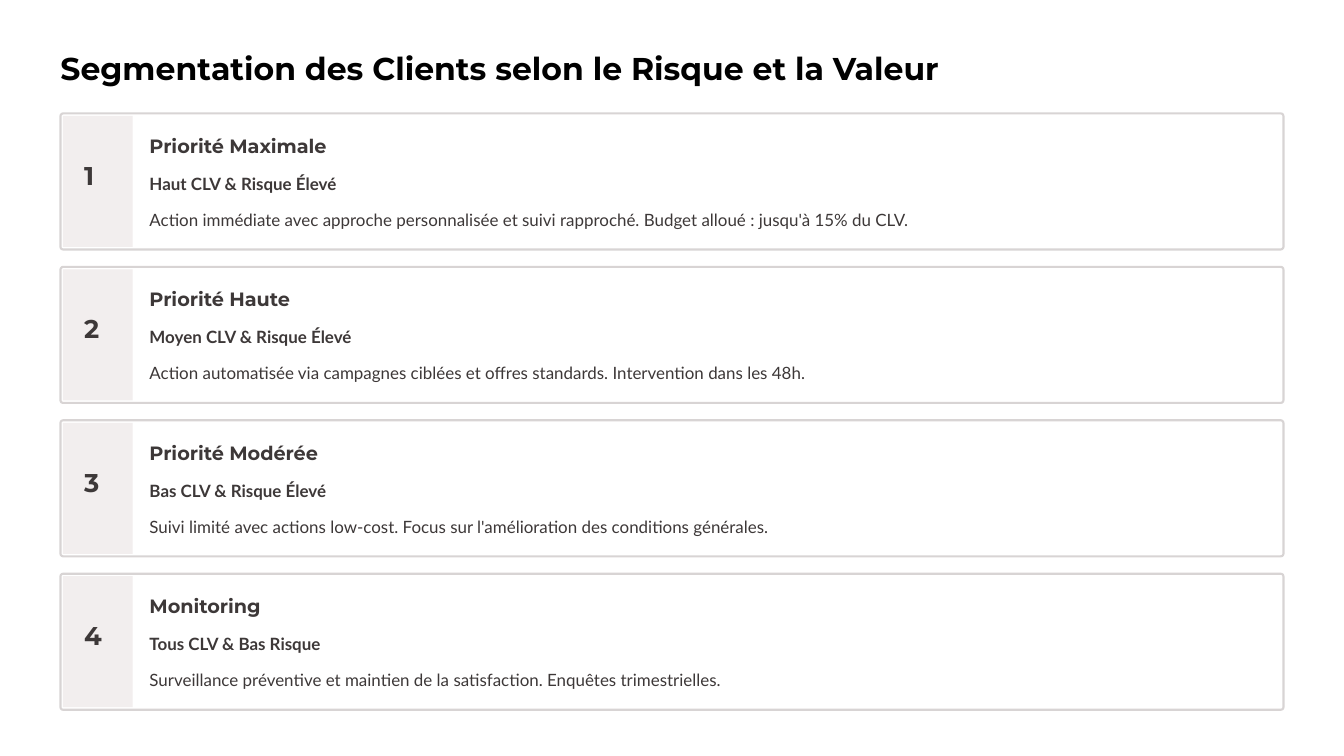
from pptx import Presentation
from pptx.dml.color import RGBColor
from pptx.enum.shapes import MSO_SHAPE as Kind
from pptx.util import Inches, Pt

TITLE = "Segmentation des Clients selon le Risque et la Valeur"
CARDS = [
    ("Priorité Maximale", "Haut CLV & Risque Élevé",
     "Action immédiate avec approche personnalisée et suivi rapproché. Budget alloué : jusqu'à 15% du CLV."),
    ("Priorité Haute", "Moyen CLV & Risque Élevé",
     "Action automatisée via campagnes ciblées et offres standards. Intervention dans les 48h."),
    ("Priorité Modérée", "Bas CLV & Risque Élevé",
     "Suivi limité avec actions low-cost. Focus sur l'amélioration des conditions générales."),
    ("Monitoring", "Tous CLV & Bas Risque",
     "Surveillance préventive et maintien de la satisfaction. Enquêtes trimestrielles."),
]

BLACK = RGBColor(0x00, 0x00, 0x00)
WHITE = RGBColor(0xFF, 0xFF, 0xFF)
INK = RGBColor(0x3D, 0x38, 0x38)
EDGE = RGBColor(0xD8, 0xD4, 0xD4)
BAND = RGBColor(0xF2, 0xEE, 0xEE)

HEAD = dict(name="Montserrat", size=Pt(27), bold=True)
RANK = dict(name="Montserrat", size=Pt(22), bold=True)
NAME = dict(name="Montserrat", size=Pt(16.5), bold=True)
GROUP = dict(name="Lato", size=Pt(14.5), bold=True)
PLAN = dict(name="Lato", size=Pt(14.5), bold=False)

WIDE, HIGH = 16, 9
EDGE_X, TOP, LAST = 0.72, 1.35, 6.83
CARD_W, CARD_H = WIDE - 2 * EDGE_X, 1.62
STEP = (LAST - TOP) / (len(CARDS) - 1)
INSET, BAND_W = 0.03, 0.83
TITLE_W = 10.8
TEXT_X, TEXT_W = 1.78, 13.27
ROWS = [(0.23, 2.34, 0.29, 21, NAME), (0.65, TEXT_W, 0.31, 22, GROUP),
        (1.08, TEXT_W, 0.31, 22, PLAN)]

deck = Presentation()
deck.slide_width, deck.slide_height = Inches(WIDE), Inches(HIGH)
slide = deck.slides.add_slide(deck.slide_layouts[6])


def write(text, x, y, w, h, lead, style, color=INK):
    frame = slide.shapes.add_textbox(*map(Inches, (x, y, w, h))).text_frame
    frame.word_wrap = False
    for side in ("left", "top", "right", "bottom"):
        setattr(frame, f"margin_{side}", 0)
    para = frame.paragraphs[0]
    para.line_spacing = Pt(lead)
    run = para.add_run()
    run.text = text
    for key, value in style.items():
        setattr(run.font, key, value)
    run.font.color.rgb = color


def panel(x, y, w, h, curve, fill, edge=None):
    box = slide.shapes.add_shape(Kind.ROUNDED_RECTANGLE, *map(Inches, (x, y, w, h)))
    box.adjustments[0] = curve
    box.shadow.inherit = False
    box.fill.solid()
    box.fill.fore_color.rgb = fill
    if edge is None:
        box.line.fill.background()
    else:
        box.line.color.rgb = edge
        box.line.width = Pt(1.8)


write(TITLE, EDGE_X, 0.57, TITLE_W, 0.47, 33.5, HEAD, BLACK)
for i, card in enumerate(CARDS):
    y = TOP + i * STEP
    panel(EDGE_X, y, CARD_W, CARD_H, 0.02, WHITE, EDGE)
    panel(EDGE_X + INSET, y + INSET, BAND_W, CARD_H - 2 * INSET, 0, BAND)
    write(str(i + 1), 1, y + 0.61, 0.31, 0.39, 22, RANK)
    for text, (drop, w, h, lead, style) in zip(card, ROWS):
        write(text, TEXT_X, y + drop, w, h, lead, style)

deck.save("out.pptx")
